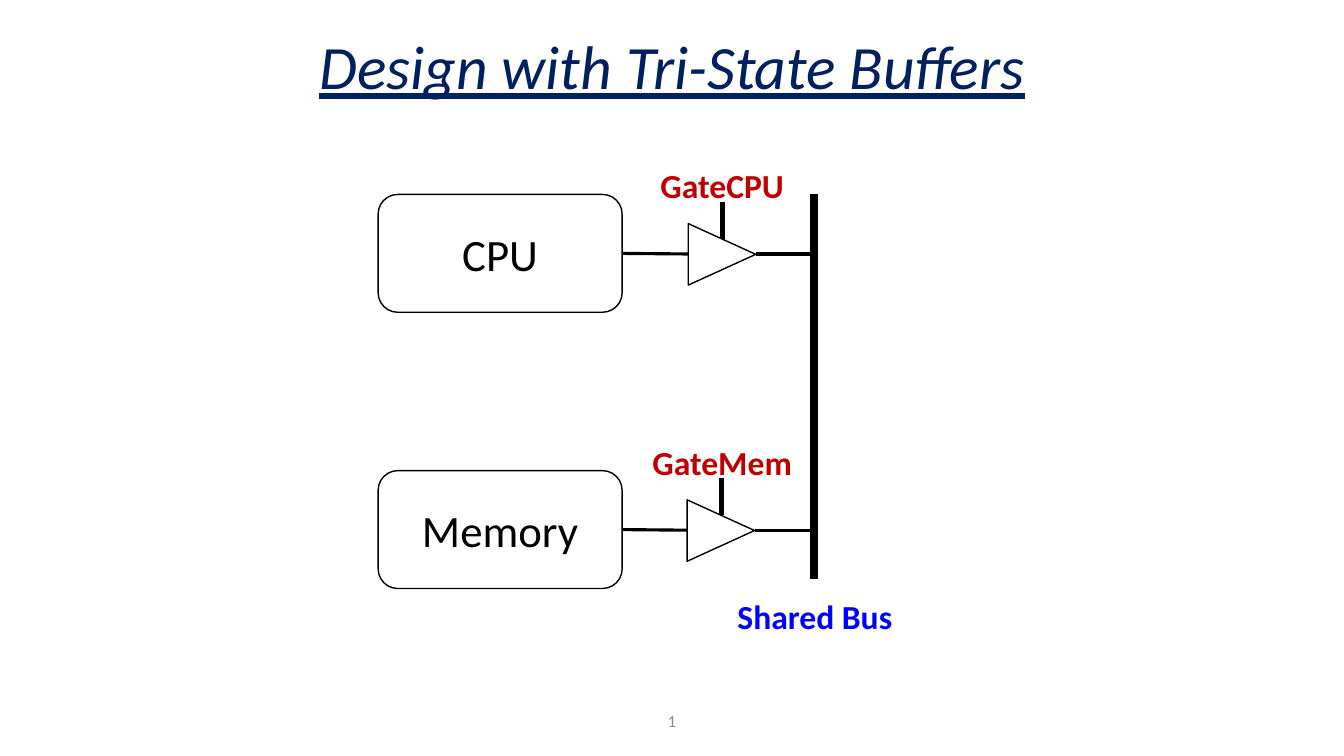
from lxml.etree import SubElement
from pptx import Presentation
from pptx.dml.color import RGBColor
from pptx.enum.shapes import MSO_CONNECTOR as Connector, MSO_SHAPE as Shape
from pptx.enum.text import MSO_ANCHOR as Anchor, PP_ALIGN as Align
from pptx.oxml.ns import qn
from pptx.util import Cm, Pt

COLORS = {
    "title": "002060",
    "page": "8C8C8C",
    "ink": "000000",
    "paper": "FFFFFF",
    "gate": "C00000",
    "bus": "0000FF",
}


class Diagram:
    font_name = "Calibri"
    outline = 1

    def __init__(self, slide):
        self.shapes = slide.shapes

    def color(self, name):
        return RGBColor.from_string(COLORS[name])

    def label(self, shape, text, size, color, anchor, bold=None, italic=None, underline=None):
        frame = shape.text_frame
        frame.word_wrap = True
        frame.vertical_anchor = anchor
        paragraph = frame.paragraphs[0]
        paragraph.text = text
        paragraph.alignment = Align.CENTER
        font = paragraph.font
        font.name, font.size = self.font_name, Pt(size)
        font.bold, font.italic, font.underline = bold, italic, underline
        font.color.rgb = self.color(color)
        return paragraph

    def text(self, text, box, size, color, anchor=Anchor.TOP, **emphasis):
        area = self.shapes.add_textbox(*map(Cm, box))
        return self.label(area, text, size, color, anchor, **emphasis)

    def outlined(self, kind, box):
        shape = self.shapes.add_shape(kind, *map(Cm, box))
        shape.shadow.inherit = False
        shape.fill.solid()
        shape.fill.fore_color.rgb = self.color("paper")
        shape.line.color.rgb = self.color("ink")
        shape.line.width = Pt(self.outline)
        return shape

    def block(self, text, box):
        block = self.outlined(Shape.ROUNDED_RECTANGLE, box)
        self.label(block, text, 32, "ink", Anchor.MIDDLE)
        return block

    def buffer(self, box):
        self.outlined(Shape.ISOSCELES_TRIANGLE, box).rotation = 90

    def wire(self, start, end, width=2.25):
        wire = self.shapes.add_connector(Connector.STRAIGHT, *map(Cm, start + end))
        wire.line.color.rgb = self.color("ink")
        wire.line.width = Pt(width)
        SubElement(wire.element.spPr, qn("a:effectLst"))
        return wire


def main():
    deck = Presentation()
    deck.slide_width, deck.slide_height = Cm(33.87), Cm(19.05)
    diagram = Diagram(deck.slides.add_slide(deck.slide_layouts[6]))

    title = diagram.text("Design with Tri-State Buffers", (2.34, 0.53, 29.21, 2.46),
                         44, "title", Anchor.MIDDLE, italic=True, underline=True)
    title.line_spacing = 0.9
    diagram.text("1", (11.22, 17.65, 11.43, 1.02), 12, "page", Anchor.MIDDLE)

    bus_x, first_top, pitch = 20.52, 4.9, 6.96
    units = [("CPU", "GateCPU", 0), ("Memory", "GateMem", -0.03)]
    for row, (unit, gate, shift) in enumerate(units):
        top = first_top + row * pitch
        middle = top + 1.5
        block = diagram.block(unit, (9.53, top, 6.15, 2.97))
        diagram.buffer((17.42 + shift, top + 0.66, 1.55, 1.7))
        diagram.wire((18.21 + shift, top + 0.18), (18.21 + shift, top + 1.12), 3)
        source = diagram.wire((15.68, middle), (17.35 + shift, middle))
        source.begin_connect(block, 3)
        diagram.wire((19.05 + shift, middle), (bus_x, middle))
        diagram.text(gate, (16.18, top - 0.86, 4.04, 1.27), 24, "gate", bold=True)

    diagram.wire((bus_x, first_top), (bus_x, 14.6), 6)
    diagram.text("Shared Bus", (18.26, 14.88, 4.55, 1.27), 24, "bus", bold=True)

    deck.save("out.pptx")


if __name__ == "__main__":
    main()
